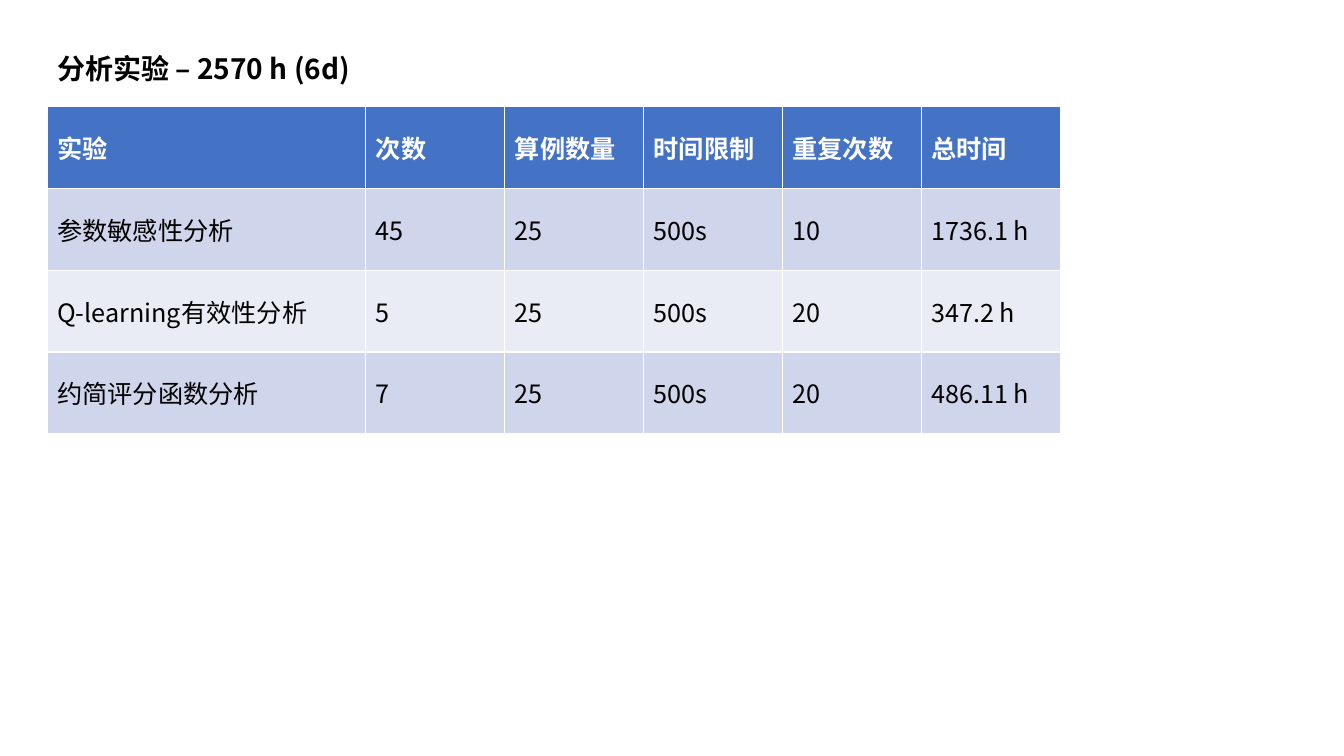
from pptx import Presentation as Deck
from pptx.dml.color import RGBColor as Color
from pptx.enum.text import MSO_ANCHOR as Anchor, MSO_AUTO_SIZE as Fit
from pptx.oxml.ns import qn
from pptx.util import Cm, Pt
from lxml.etree import SubElement as Sub

FONT = "Noto Sans CJK SC"
BLACK, WHITE, BLUE = "000000", "FFFFFF", "4472C4"
BANDS = ("CFD5EA", "E9EBF5")
WIDTHS = [8.03] + [3.5] * 5
HIGH = 2.06
ROWS = [
    ("实验", "次数", "算例数量", "时间限制", "重复次数", "总时间"),
    ("参数敏感性分析", "45", "25", "500s", "10", "1736.1 h"),
    ("Q-learning有效性分析", "5", "25", "500s", "20", "347.2 h"),
    ("约简评分函数分析", "7", "25", "500s", "20", "486.11 h"),
]


def paint(target, tint):
    target.rgb = Color.from_string(tint)


def add_run(para, text, size, tint, bold):
    run = para.add_run()
    run.text = text
    font = run.font
    font.size, font.bold, font.name = Pt(size), bold, FONT
    paint(font.color, tint)
    # East Asian glyphs use the same face
    Sub(run._r.get_or_add_rPr(), qn("a:ea"), typeface=FONT)


def add_title(slide, text):
    box = slide.shapes.add_textbox(Cm(1.19), Cm(0.74), Cm(13.54), Cm(1.4))
    frame = box.text_frame
    frame.word_wrap = True
    frame.auto_size = Fit.SHAPE_TO_FIT_TEXT
    para = frame.paragraphs[0]
    para.line_spacing = 1.5
    add_run(para, text, 20, BLACK, True)


def fill_cell(cell, text, head, back):
    cell.vertical_anchor = Anchor.MIDDLE
    cell.fill.solid()
    paint(cell.fill.fore_color, back)
    para = cell.text_frame.paragraphs[0]
    add_run(para, text, 18, WHITE if head else BLACK, head)


def add_grid(slide, rows):
    # The default table style supplies the white rules
    grid = slide.shapes.add_table(
        len(rows), len(WIDTHS), Cm(1.19), Cm(2.69),
        Cm(sum(WIDTHS)), Cm(HIGH * len(rows))).table
    for col, width in zip(grid.columns, WIDTHS):
        col.width = Cm(width)
    for i, row in enumerate(rows):
        grid.rows[i].height = Cm(HIGH)
        head = i == 0
        back = BLUE if head else BANDS[(i - 1) % 2]
        for j, text in enumerate(row):
            fill_cell(grid.cell(i, j), text, head, back)


def main():
    deck = Deck()
    deck.slide_width, deck.slide_height = Cm(33.87), Cm(19.05)
    slide = deck.slides.add_slide(deck.slide_layouts[6])
    # Heading and table of experiments
    add_title(slide, "分析实验 – 2570 h (6d)")
    add_grid(slide, ROWS)
    deck.save("out.pptx")


if __name__ == "__main__":
    main()
